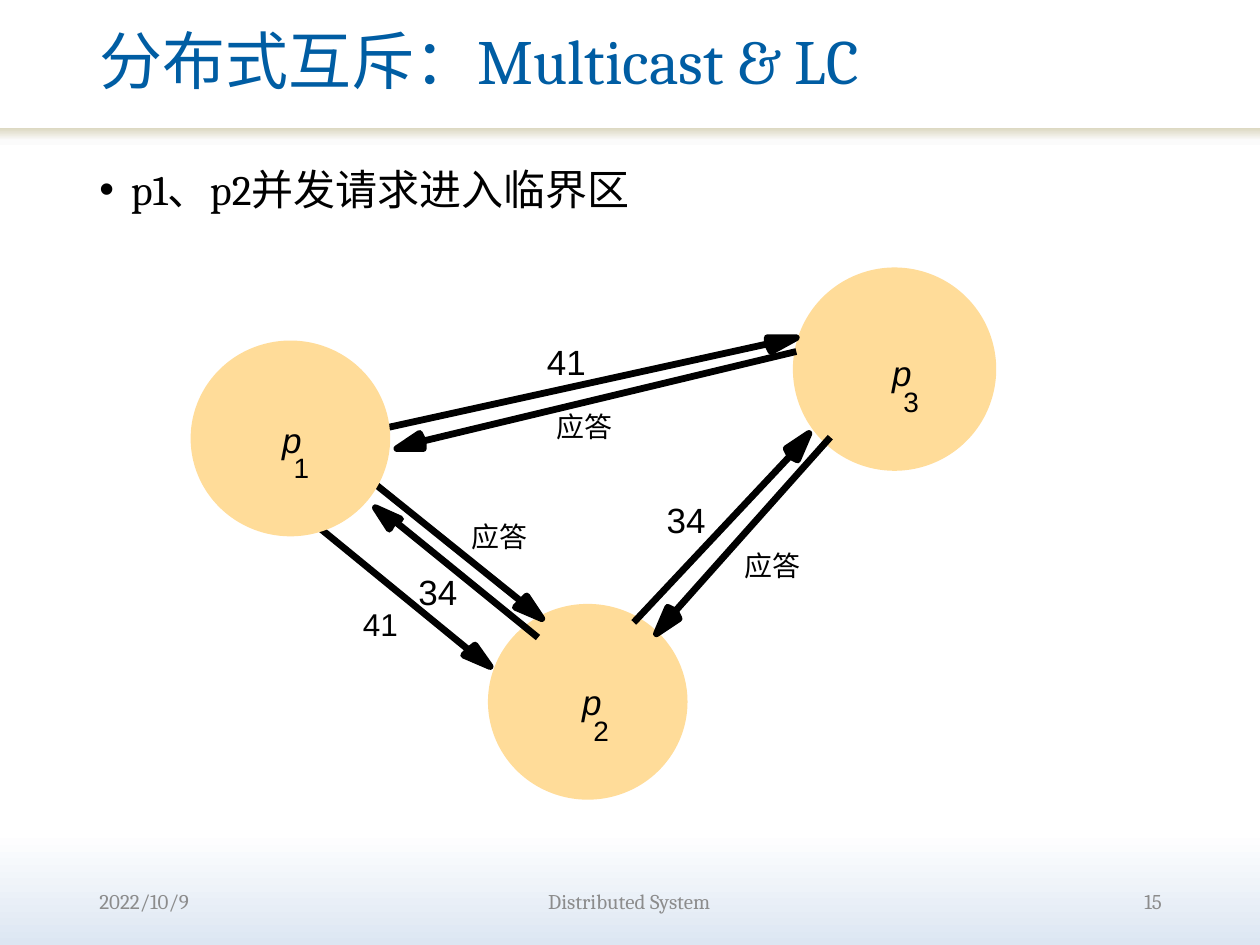
import dataclasses

import lxml.etree
import pptx
import pptx.dml.color
import pptx.enum.shapes
import pptx.enum.text
import pptx.oxml.ns
import pptx.util

Inches = pptx.util.Inches
Pt = pptx.util.Pt
qn = pptx.oxml.ns.qn
Align = pptx.enum.text.PP_ALIGN
Anchor = pptx.enum.text.MSO_ANCHOR
Shape = pptx.enum.shapes.MSO_SHAPE


@dataclasses.dataclass(frozen=True)
class Theme:
    """Colours, fonts and sizes of the slide."""
    title: str = "005DA3"
    ink: str = "000000"
    muted: str = "8C8C8C"
    node: str = "FFDC99"
    page: tuple = ((0, "FFFFFF"), (88, "FFFFFF"), (100, "DCE6F2"))
    band: tuple = ((0, "FFFFFF"), (45, "FBFBFB"), (100, "DDD9C3"))
    serif: str = "Cambria"
    sans: str = "Arial"
    reply: str = "Cabin"
    title_size: int = 36
    body_size: int = 24
    label_size: int = 20
    side_size: int = 18
    small_size: int = 16
    footer_size: int = 12
    stroke: float = 3.88


def rgb(color):
    """Turn a hex string into a colour."""
    return pptx.dml.color.RGBColor.from_string(color)


class SlideBuilder:
    """Draws styled elements on the current slide."""

    def __init__(self, slide, theme):
        """Keep the slide and its theme."""
        self.slide = slide
        self.theme = theme

    def gradient(self, fill, element, stops, angle):
        """Give a fill a linear gradient with any number of stops."""
        fill.gradient()
        fill.gradient_angle = angle
        gs_list = next(element.iter(qn("a:gsLst")))
        for gs in list(gs_list):
            gs_list.remove(gs)
        for pos, color in stops:
            gs = lxml.etree.SubElement(gs_list, qn("a:gs"), pos=str(pos * 1000))
            lxml.etree.SubElement(gs, qn("a:srgbClr"), val=color)

    def background(self):
        """Fill the page with its gradient."""
        self.gradient(self.slide.background.fill, self.slide.element, self.theme.page, 270)

    def band(self, x, y, w, h):
        """Draw the gradient strip below the title."""
        sp = self.slide.shapes.add_shape(Shape.RECTANGLE, *map(Inches, (x, y, w, h)))
        sp.shadow.inherit = False
        sp.line.fill.background()
        self.gradient(sp.fill, sp.element, self.theme.band, 90)

    def paint(self, sp, color):
        """Give a shape one colour for fill and outline."""
        sp.shadow.inherit = False
        sp.fill.solid()
        sp.fill.fore_color.rgb = rgb(color)
        sp.line.color.rgb = rgb(color)
        sp.line.width = Pt(self.theme.stroke)

    def node(self, x, y, w, h):
        """Draw a process circle."""
        sp = self.slide.shapes.add_shape(Shape.OVAL, *map(Inches, (x, y, w, h)))
        self.paint(sp, self.theme.node)

    def arrow(self, start, end, head):
        """Draw a message line and its solid arrowhead."""
        points = [tuple(map(Inches, point)) for point in head]
        fb = self.slide.shapes.build_freeform(*points[0])
        fb.add_line_segments(points[1:], close=True)
        self.paint(fb.convert_to_shape(), self.theme.ink)
        cn = self.slide.shapes.add_connector(
            pptx.enum.shapes.MSO_CONNECTOR.STRAIGHT, *map(Inches, start + end))
        cn.line.color.rgb = rgb(self.theme.ink)
        cn.line.width = Pt(self.theme.stroke)
        lxml.etree.SubElement(cn.element.spPr, qn("a:effectLst"))

    def text(self, text, box, size, color, font, align=Align.LEFT, anchor=Anchor.MIDDLE):
        """Add a wrapped text box and return its frame, paragraph and run."""
        tf = self.slide.shapes.add_textbox(*map(Inches, box)).text_frame
        tf.word_wrap = True
        tf.vertical_anchor = anchor
        p = tf.paragraphs[0]
        p.alignment = align
        r = p.add_run()
        r.text = text
        r.font.size = Pt(size)
        r.font.name = font
        r.font.color.rgb = rgb(color)
        return tf, p, r

    def title(self, text, box):
        """Add the slide title."""
        t = self.theme
        p = self.text(text, box, t.title_size, t.title, t.serif)[1]
        p.line_spacing = 0.9

    def bullet(self, text, box):
        """Add a bulleted body text."""
        t = self.theme
        p = self.text(text, box, t.body_size, t.ink, t.serif, anchor=Anchor.TOP)[1]
        p.line_spacing = 1.1
        ppr = p._p.get_or_add_pPr()
        ppr.set("marL", str(Inches(0.25)))
        ppr.set("indent", str(-Inches(0.25)))
        lxml.etree.SubElement(ppr, qn("a:buFont"), typeface=t.sans)
        lxml.etree.SubElement(ppr, qn("a:buChar"), char="•")

    def label(self, text, box, size, font=None, italic=False):
        """Add a tight diagram label."""
        t = self.theme
        tf, _, r = self.text(text, box, size, t.ink, font or t.sans, anchor=Anchor.TOP)
        tf.margin_left = tf.margin_right = tf.margin_top = tf.margin_bottom = 0
        tf.word_wrap = False
        tf.auto_size = pptx.enum.text.MSO_AUTO_SIZE.SHAPE_TO_FIT_TEXT
        if italic:
            r.font.italic = True

    def process_name(self, index, x, y):
        """Label a process with p and a lowered index."""
        t = self.theme
        self.label("p", (x, y, 0.16, 0.34), t.label_size, italic=True)
        self.label(index, (x + 0.09, y + 0.26, 0.13, 0.27), t.small_size)

    def footer(self, text, x, w, align):
        """Add one part of the footer."""
        t = self.theme
        self.text(text, (x, 6.95, w, 0.4), t.footer_size, t.muted, t.serif, align)


ARROWS = [
    ((4.27, 5.06), (3.15, 4.15), [(3.12, 4.15), (3.09, 4.2), (2.98, 4.03), (3.18, 4.12)]),
    ((3, 3.41), (6.09, 2.73), [(6.09, 2.73), (6.09, 2.68), (6.32, 2.68), (6.12, 2.79)]),
    ((2.45, 4.12), (3.71, 5.15), [(3.71, 5.17), (3.77, 5.12), (3.89, 5.29), (3.68, 5.2)]),
    ((5.03, 4.94), (6.27, 3.62), [(6.27, 3.62), (6.24, 3.56), (6.42, 3.44), (6.33, 3.65)]),
    ((6.32, 2.79), (3.36, 3.5), [(3.36, 3.5), (3.36, 3.56), (3.15, 3.56), (3.33, 3.44)]),
    ((6.59, 3.47), (5.36, 4.85), [(5.36, 4.85), (5.39, 4.91), (5.21, 5.03), (5.3, 4.82)]),
    ((2.95, 3.82), (4.12, 4.76), [(4.15, 4.76), (4.18, 4.73), (4.3, 4.91), (4.09, 4.82)]),
]


def main():
    """Build and save the slide."""
    prs = pptx.Presentation()
    prs.slide_width, prs.slide_height = Inches(10), Inches(7.5)
    t = Theme()
    s = SlideBuilder(prs.slides.add_slide(prs.slide_layouts[6]), t)
    s.background()
    s.band(0, 1.02, 10, 0.17)
    s.title("分布式互斥：Multicast & LC", (0.69, 0, 8.3, 1.02))
    s.bullet("p1、p2并发请求进入临界区", (0.69, 1.21, 8.62, 5.55))

    s.node(3.9, 4.82, 1.53, 1.5)
    s.node(6.32, 2.15, 1.56, 1.56)
    for start, end, head in ARROWS:
        s.arrow(start, end, head)
    s.node(1.54, 2.73, 1.53, 1.5)
    for index, x, y in (("1", 2.24, 3.32), ("2", 4.62, 5.4), ("3", 7.08, 2.79)):
        s.process_name(index, x, y)

    for text, x, y in (("34", 5.29, 3.96), ("41", 4.34, 2.7), ("34", 3.32, 4.53)):
        s.label(text, (x, y, 0.31, 0.34), t.label_size)
    s.label("41", (2.88, 4.8, 0.28, 0.3), t.side_size)
    for x, y, font in ((4.42, 3.25, t.sans), (3.74, 4.12, t.reply), (5.91, 4.35, t.reply)):
        s.label("应答", (x, y, 0.45, 0.27), t.small_size, font)

    s.footer("2022/10/9", 0.69, 2.08, Align.LEFT)
    s.footer("Distributed System", 2.76, 4.47, Align.CENTER)
    s.footer("15", 7.24, 2.08, Align.RIGHT)
    prs.save("out.pptx")


if __name__ == "__main__":
    main()
